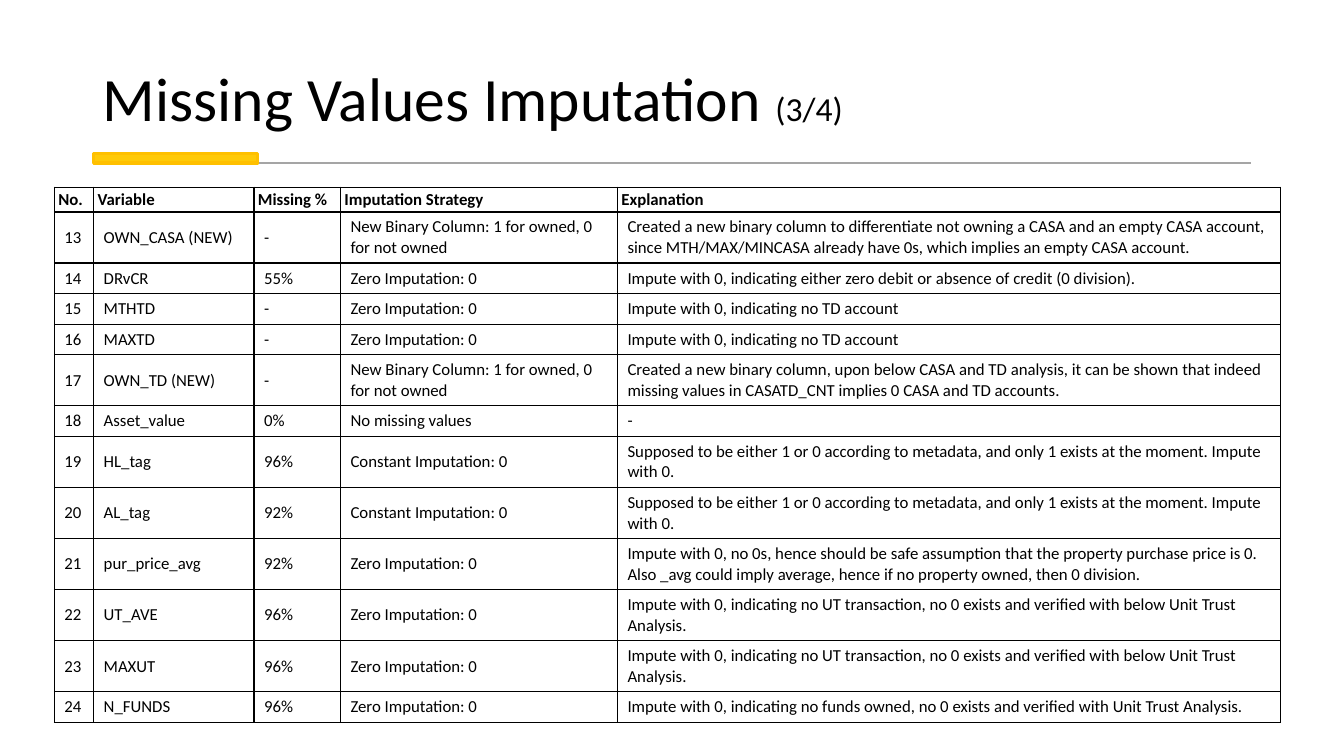
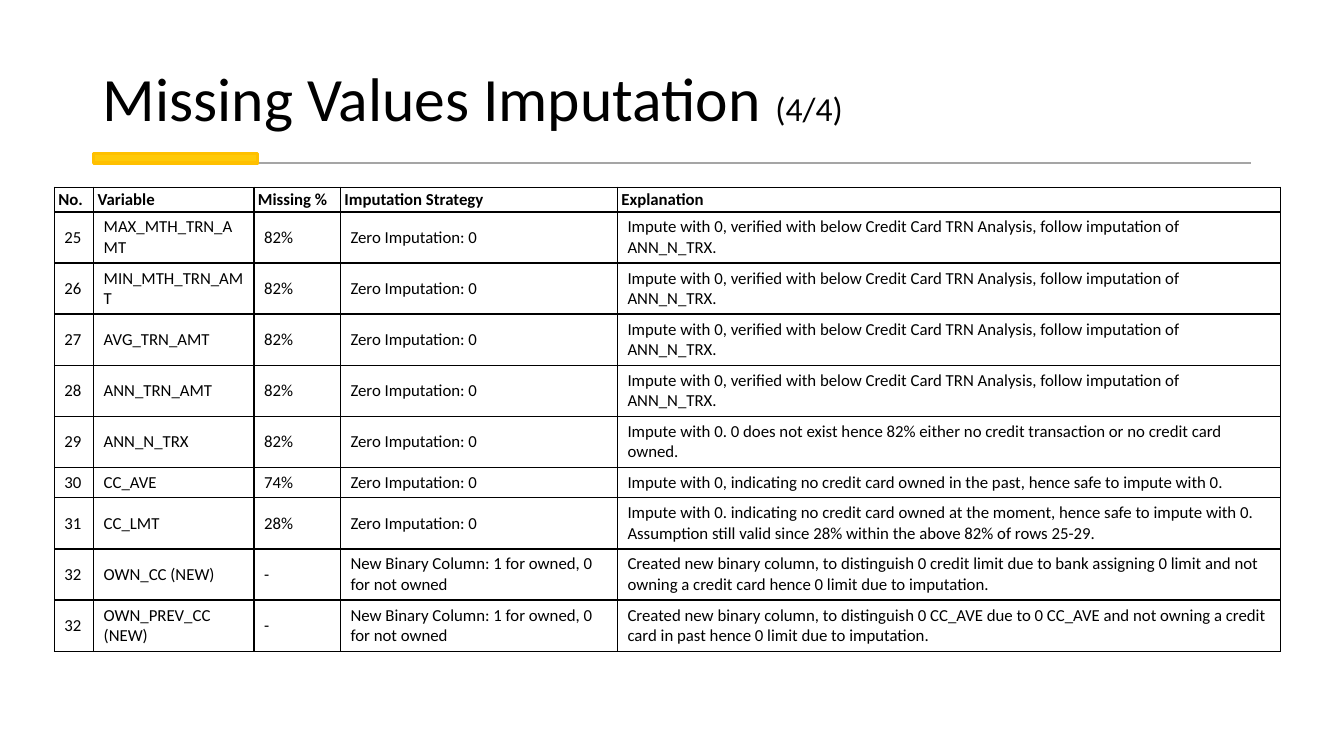
from dataclasses import dataclass

from lxml.etree import SubElement
from pptx import Presentation
from pptx.dml.color import RGBColor as RGB
from pptx.enum.shapes import MSO_CONNECTOR, MSO_SHAPE
from pptx.enum.text import MSO_ANCHOR, MSO_AUTO_SIZE, PP_ALIGN
from pptx.oxml.ns import qn
from pptx.util import Cm, Pt


@dataclass(frozen=True)
class Theme:
    font: str = "Calibri"
    ink: RGB = RGB(0x00, 0x00, 0x00)
    paper: RGB = RGB(0xFF, 0xFF, 0xFF)
    rule: RGB = RGB(0xA5, 0xA5, 0xA5)
    accent: RGB = RGB(0xFF, 0xCA, 0x08)
    accent_edge: RGB = RGB(0xFF, 0xC0, 0x00)
    title: Pt = Pt(44)
    counter: Pt = Pt(24)
    body: Pt = Pt(12)
    border: Pt = Pt(1)


THEME = Theme()

TITLE_BOX = Cm(2.34), Cm(0.71), Cm(29.18), Cm(2.82)
BAND_BOX = Cm(2.36), Cm(3.86), Cm(29.16), Cm(0.25)
TABLE_POS = Cm(1.37), Cm(4.72)

HEADERS = ["No.", "Variable", "Missing %", "Imputation Strategy", "Explanation"]
COL_WIDTHS = [Cm(0.99), Cm(4.04), Cm(2.18), Cm(6.98), Cm(16.71)]
HEADER_HEIGHT, ROW_HEIGHT = Cm(0.62), Cm(0.77)
HEADER_INSETS = Cm(0.1), Cm(0.05)

BINARY = "New Binary Column: 1 for owned, 0 for not owned"
ZERO = "Zero Imputation: 0"
CONSTANT = "Constant Imputation: 0"
NO_TD = "Impute with 0, indicating no TD account"
TAG = ("Supposed to be either 1 or 0 according to metadata, and only 1 exists "
       "at the moment. Impute with 0.")
NO_UT = ("Impute with 0, indicating no UT transaction, no 0 exists and verified "
         "with below Unit Trust Analysis.")
CARD_TRN = ("Impute with 0, verified with below Credit Card TRN Analysis, "
            "follow imputation of ANN_N_TRX.")

ACCOUNT_ROWS = [
    ("13", "OWN_CASA (NEW)", "-", BINARY,
     "Created a new binary column to differentiate not owning a CASA and an empty "
     "CASA account, since MTH/MAX/MINCASA already have 0s, which implies an empty "
     "CASA account."),
    ("14", "DRvCR", "55%", ZERO,
     "Impute with 0, indicating either zero debit or absence of credit (0 division)."),
    ("15", "MTHTD", "-", ZERO, NO_TD),
    ("16", "MAXTD", "-", ZERO, NO_TD),
    ("17", "OWN_TD (NEW)", "-", BINARY,
     "Created a new binary column, upon below CASA and TD analysis, it can be shown "
     "that indeed missing values in CASATD_CNT implies 0 CASA and TD accounts."),
    ("18", "Asset_value", "0%", "No missing values", "-"),
    ("19", "HL_tag", "96%", CONSTANT, TAG),
    ("20", "AL_tag", "92%", CONSTANT, TAG),
    ("21", "pur_price_avg", "92%", ZERO,
     "Impute with 0, no 0s, hence should be safe assumption that the property "
     "purchase price is 0. Also _avg could imply average, hence if no property "
     "owned, then 0 division."),
    ("22", "UT_AVE", "96%", ZERO, NO_UT),
    ("23", "MAXUT", "96%", ZERO, NO_UT),
    ("24", "N_FUNDS", "96%", ZERO,
     "Impute with 0, indicating no funds owned, no 0 exists and verified with "
     "Unit Trust Analysis."),
]

CARD_ROWS = [
    ("25", "MAX_MTH_TRN_AMT", "82%", ZERO, CARD_TRN),
    ("26", "MIN_MTH_TRN_AMT", "82%", ZERO, CARD_TRN),
    ("27", "AVG_TRN_AMT", "82%", ZERO, CARD_TRN),
    ("28", "ANN_TRN_AMT", "82%", ZERO, CARD_TRN),
    ("29", "ANN_N_TRX", "82%", ZERO,
     "Impute with 0. 0 does not exist hence 82% either no credit transaction or "
     "no credit card owned."),
    ("30", "CC_AVE", "74%", ZERO,
     "Impute with 0, indicating no credit card owned in the past, hence safe to "
     "impute with 0."),
    ("31", "CC_LMT", "28%", ZERO,
     "Impute with 0. indicating no credit card owned at the moment, hence safe to "
     "impute with 0. Assumption still valid since 28% within the above 82% of "
     "rows 25-29."),
    ("32", "OWN_CC (NEW)", "-", BINARY,
     "Created new binary column, to distinguish 0 credit limit due to bank assigning "
     "0 limit and not owning a credit card hence 0 limit due to imputation."),
    ("32", "OWN_PREV_CC (NEW)", "-", BINARY,
     "Created new binary column, to distinguish 0 CC_AVE due to 0 CC_AVE and not "
     "owning a credit card in past hence 0 limit due to imputation."),
]


def style_font(font, size, bold=False):
    font.name, font.size, font.bold = THEME.font, size, bold
    font.color.rgb = THEME.ink


def place_title(slide, box, counter):
    sp = slide.shapes.title
    sp.left, sp.top, sp.width, sp.height = box
    tf = sp.text_frame
    tf.auto_size = MSO_AUTO_SIZE.NONE
    tf.vertical_anchor = MSO_ANCHOR.BOTTOM
    p = tf.paragraphs[0]
    p.alignment, p.line_spacing = PP_ALIGN.LEFT, 0.9
    style_font(p.font, THEME.title)
    p.add_run().text = "Missing Values Imputation "
    r = p.add_run()
    r.text, r.font.size = counter, THEME.counter


def draw_band(slide, box):
    """Draw the grey rule under the title with the accent bar at its left end."""
    left, top, width, height = box
    group = slide.shapes.add_group_shape()

    y = top + height
    rule = group.shapes.add_connector(MSO_CONNECTOR.STRAIGHT, left, y, left + width, y)
    rule.line.color.rgb, rule.line.width = THEME.rule, Pt(1.5)
    SubElement(rule._element.spPr, qn("a:effectLst"))

    bar = group.shapes.add_shape(MSO_SHAPE.RECTANGLE, left, top, Cm(4.14), height)
    bar.shadow.inherit = False
    bar.fill.solid()
    bar.fill.fore_color.rgb = THEME.accent
    bar.line.color.rgb, bar.line.width = THEME.accent_edge, Pt(2.25)


def add_borders(cell):
    tc_pr = cell._tc.get_or_add_tcPr()
    for side in ("lnL", "lnR", "lnT", "lnB"):
        line = SubElement(tc_pr, qn(f"a:{side}"), w=str(int(THEME.border)))
        fill = SubElement(line, qn("a:solidFill"))
        SubElement(fill, qn("a:srgbClr"), val=str(THEME.ink))


def fill_cell(cell, text, is_header):
    add_borders(cell)
    cell.fill.solid()
    cell.fill.fore_color.rgb = THEME.paper
    cell.vertical_anchor = MSO_ANCHOR.MIDDLE
    if is_header:
        cell.margin_left = cell.margin_right = HEADER_INSETS[0]
        cell.margin_top = cell.margin_bottom = HEADER_INSETS[1]
    cell.text = text
    style_font(cell.text_frame.paragraphs[0].font, THEME.body, is_header)


def draw_table(slide, pos, rows):
    """Draw the table at pos; rows with two lines of text grow on their own."""
    height = HEADER_HEIGHT + ROW_HEIGHT * len(rows)
    table = slide.shapes.add_table(
        len(rows) + 1, len(HEADERS), *pos, sum(COL_WIDTHS), height).table
    table.first_row = table.horz_banding = False
    for column, width in zip(table.columns, COL_WIDTHS):
        column.width = width
    for i, texts in enumerate([HEADERS, *rows]):
        table.rows[i].height = ROW_HEIGHT if i else HEADER_HEIGHT
        for cell, text in zip(table.rows[i].cells, texts):
            fill_cell(cell, text, is_header=i == 0)


def add_imputation_slide(prs, counter, rows):
    slide = prs.slides.add_slide(prs.slide_layouts.get_by_name("Title Only"))
    place_title(slide, TITLE_BOX, counter)
    draw_band(slide, BAND_BOX)
    draw_table(slide, TABLE_POS, rows)


def main():
    prs = Presentation()
    prs.slide_width, prs.slide_height = Cm(33.87), Cm(19.05)
    add_imputation_slide(prs, "(3/4)", ACCOUNT_ROWS)
    add_imputation_slide(prs, "(4/4)", CARD_ROWS)
    prs.save("out.pptx")


if __name__ == "__main__":
    main()
